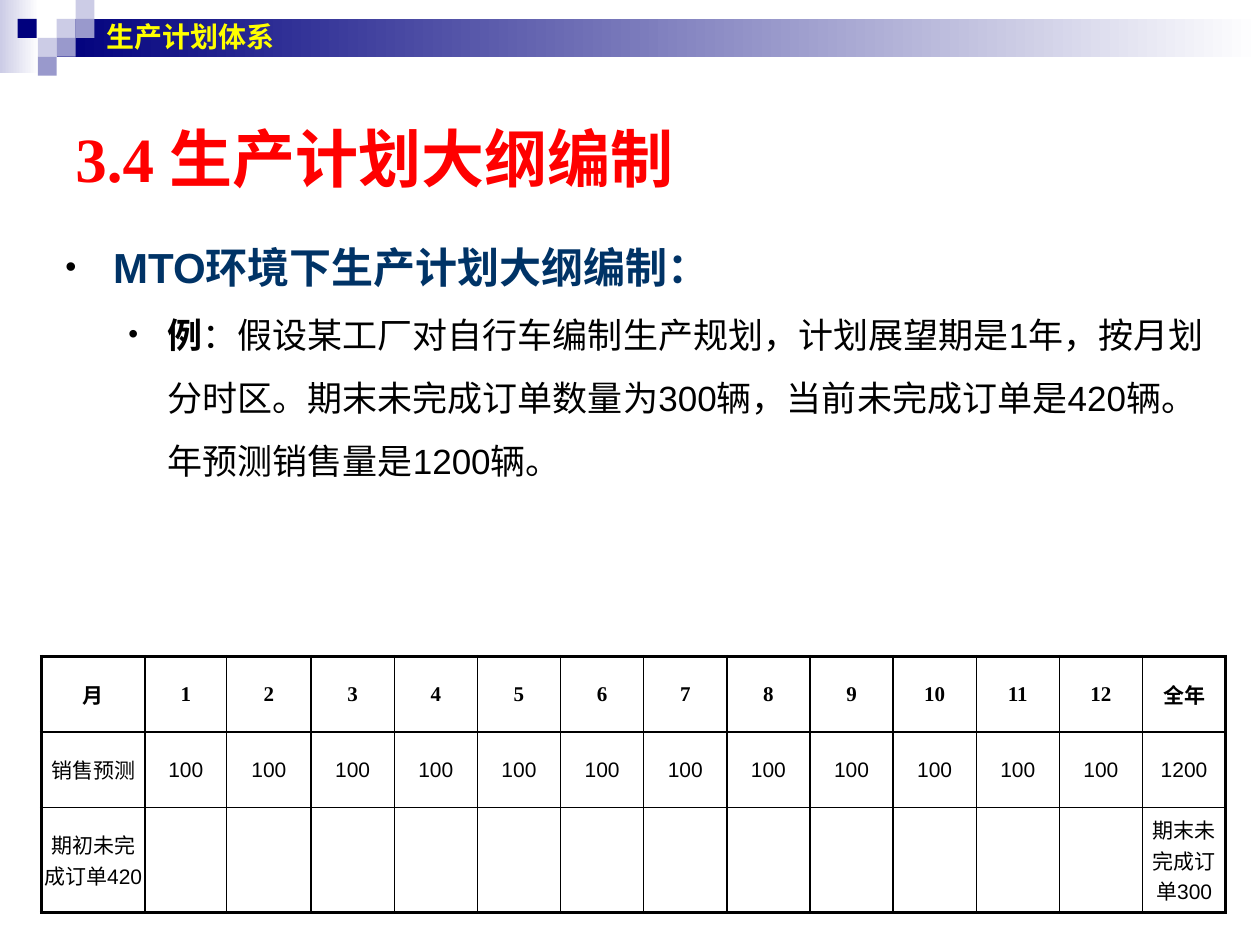
from pptx import Presentation
from pptx.dml.color import RGBColor
from pptx.enum.shapes import MSO_SHAPE as Shape
from pptx.enum.text import MSO_ANCHOR as Anchor, PP_ALIGN as Align
from pptx.oxml import parse_xml
from pptx.oxml.ns import nsdecls
from pptx.util import Inches, Pt

THEME = {
    "navy": "00007D", "lilac": "9999CC", "pale": "CCCCE6", "white": "FFFFFF",
    "black": "000000", "red": "FF0000", "yellow": "FFFF00", "heading": "003366",
    "title_size": 36, "heading_size": 24, "body_size": 20, "header_size": 16, "table_size": 12,
    "sans": "Arial", "serif": "Times New Roman",
}


def add_run(paragraph, text, size, color, bold=False, font="sans"):
    run = paragraph.add_run()
    run.text = text
    values = {"name": THEME[font], "size": Pt(THEME[size]), "bold": bold}
    for name, value in values.items():
        setattr(run.font, name, value)
    run.font.color.rgb = RGBColor.from_string(THEME[color])


def add_text_box(left, top, width, height, anchor):
    frame = slide.shapes.add_textbox(
        Inches(left), Inches(top), Inches(width), Inches(height)).text_frame
    frame.word_wrap = True
    frame.vertical_anchor = anchor
    return frame


presentation = Presentation()
presentation.slide_width = Inches(10)
presentation.slide_height = Inches(7.5)
slide = presentation.slides.add_slide(presentation.slide_layouts[6])

decorations = [
    (0, 0, 0.31, 0.58, ("pale", "white")),
    (0.45, 0.15, 9.55, 0.3, ("navy", "white")),
]
squares = [
    (0.45, 0.15, "pale"), (0.6, 0, "pale"), (0.6, 0.15, "lilac"), (0.3, 0.3, "pale"),
    (0.14, 0.15, "navy"), (0.45, 0.3, "lilac"), (0.3, 0.45, "lilac"),
]
decorations += [(left, top, 0.15, 0.15, (color,)) for left, top, color in squares]
for left, top, width, height, colors in decorations:
    shape = slide.shapes.add_shape(
        Shape.RECTANGLE, Inches(left), Inches(top), Inches(width), Inches(height))
    shape.shadow.inherit = False
    shape.line.fill.background()
    if len(colors) == 1:
        shape.fill.solid()
        shape.fill.fore_color.rgb = RGBColor.from_string(THEME[colors[0]])
    else:
        shape.fill.gradient()
        shape.fill.gradient_angle = 0
        for stop, color, position in zip(shape.fill.gradient_stops, colors, (0, 1)):
            stop.color.rgb = RGBColor.from_string(THEME[color])
            stop.position = position

body = add_text_box(0.42, 1.67, 9.33, 5.58, Anchor.TOP)
bullets = [
    (0, 0.38, -0.38, 75, [("MTO环境下生产计划大纲编制：", "heading_size", "heading", True)]),
    (1, 0.81, -0.31, 80, [
        ("例", "body_size", "black", True),
        ("：假设某工厂对自行车编制生产规划，计划展望期是1年，按月划分时区。"
         "期末未完成订单数量为300辆，当前未完成订单是420辆。年预测销售量是1200辆。",
         "body_size", "black", False),
    ]),
]
for level, margin, indent, bullet_size, runs in bullets:
    paragraph = body.add_paragraph() if level else body.paragraphs[0]
    paragraph.level = level
    paragraph.line_spacing = 1.5
    properties = paragraph._p.get_or_add_pPr()
    properties.set("marL", str(Inches(margin)))
    properties.set("indent", str(Inches(indent)))
    for element in (
        f'<a:buClr {nsdecls("a")}><a:srgbClr val="{THEME["black"]}"/></a:buClr>',
        f'<a:buSzPct {nsdecls("a")} val="{bullet_size * 1000}"/>',
        f'<a:buFont {nsdecls("a")} typeface="{THEME["sans"]}"/>',
        f'<a:buChar {nsdecls("a")} char="•"/>',
    ):
        properties.append(parse_xml(element))
    for run in runs:
        add_run(paragraph, *run)

title = add_text_box(0.5, 0.5, 9, 1.5, Anchor.MIDDLE)
add_run(title.paragraphs[0], "3.4 生产计划大纲编制", "title_size", "red", True, "serif")
header = add_text_box(0.75, 0, 8.83, 0.58, Anchor.MIDDLE)
add_run(header.paragraphs[0], "生产计划体系", "header_size", "yellow", True)

rows = [
    ["月", *map(str, range(1, 13)), "全年"],
    ["销售预测", *["100"] * 12, "1200"],
    ["期初未完成订单420", *[""] * 12, "期末未完成订单300"],
]
column_widths = [0.82, 0.65, 0.67] + [0.66] * 11
row_heights = [0.6, 0.6, 0.83]
last_row, last_column = len(rows) - 1, len(column_widths) - 1
table = slide.shapes.add_table(
    len(rows), len(column_widths), Inches(0.33), Inches(5.21),
    Inches(sum(column_widths)), Inches(sum(row_heights))).table
table.first_row = table.horz_banding = False
for column, width in zip(table.columns, column_widths):
    column.width = Inches(width)
for row, height in zip(table.rows, row_heights):
    row.height = Inches(height)

for row_index, texts in enumerate(rows):
    for column_index, text in enumerate(texts):
        cell = table.cell(row_index, column_index)
        is_header = row_index == 0
        is_edge = column_index in (0, last_column)
        side = Inches(0 if is_edge and not is_header else 0.1)
        values = {"margin_left": side, "margin_right": side, "margin_top": Inches(0.05),
                  "margin_bottom": Inches(0.05), "vertical_anchor": Anchor.MIDDLE}
        for name, value in values.items():
            setattr(cell, name, value)
        paragraph = cell.text_frame.paragraphs[0]
        paragraph.alignment = Align.CENTER
        if text:
            add_run(paragraph, text, "table_size", "black", is_header,
                    "serif" if is_header else "sans")
        outer_sides = {"lnL": column_index == 0, "lnR": column_index == last_column,
                       "lnT": is_header, "lnB": row_index == last_row}
        for tag, is_outer in outer_sides.items():
            cell._tc.get_or_add_tcPr().append(parse_xml(
                f'<a:{tag} {nsdecls("a")} w="{Pt(2.25 if is_outer else 1)}"><a:solidFill>'
                f'<a:srgbClr val="{THEME["black"]}"/></a:solidFill></a:{tag}>'))
        cell.fill.background()

presentation.save("out.pptx")
